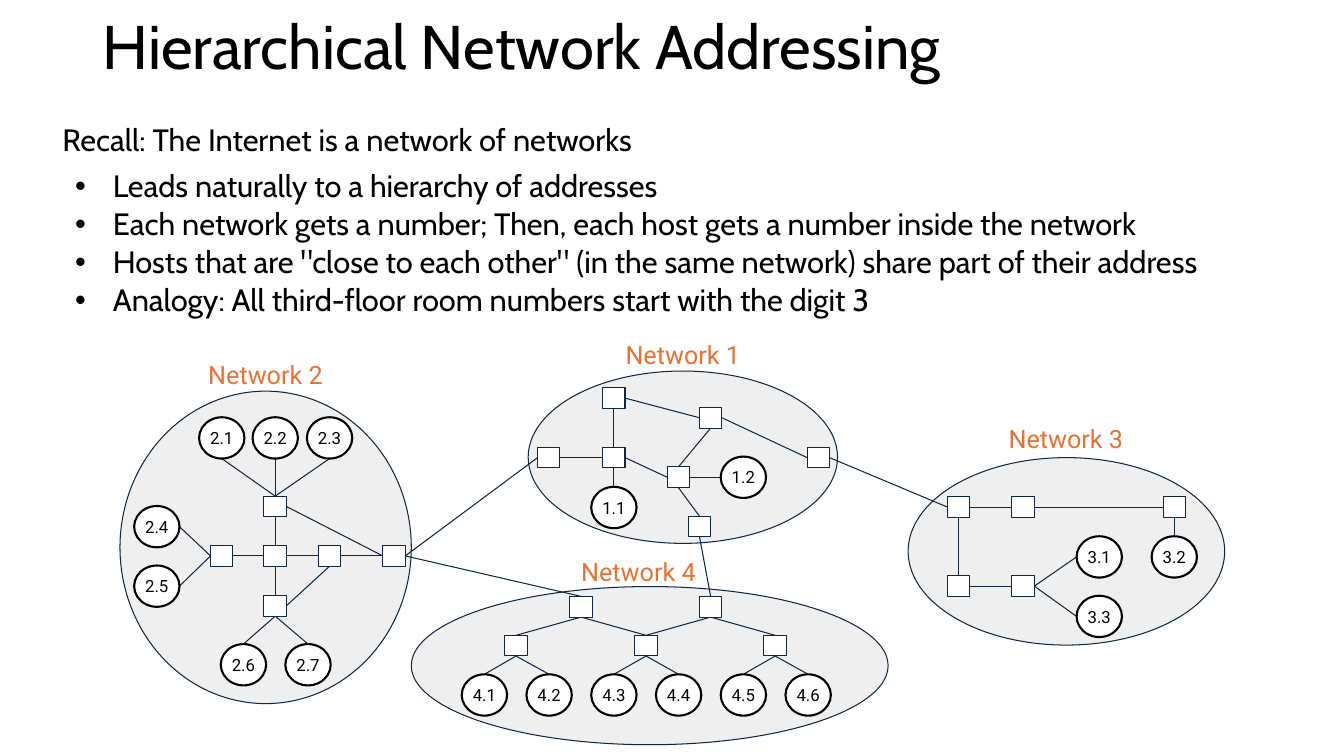
from lxml import etree
from pptx import Presentation
from pptx.dml.color import RGBColor
from pptx.enum.shapes import MSO_CONNECTOR, MSO_SHAPE
from pptx.enum.text import MSO_ANCHOR, MSO_AUTO_SIZE, PP_ALIGN
from pptx.oxml.ns import qn
from pptx.util import Pt

BLACK = RGBColor(0x00, 0x00, 0x00)
WHITE = RGBColor(0xFF, 0xFF, 0xFF)
NAVY = RGBColor(0x0E, 0x28, 0x41)
GRAY = RGBColor(0xEF, 0xEF, 0xEF)
ORANGE = RGBColor(0xE9, 0x71, 0x32)

OVAL, RECTANGLE = MSO_SHAPE.OVAL, MSO_SHAPE.RECTANGLE
STRAIGHT = MSO_CONNECTOR.STRAIGHT
TOP, MIDDLE = MSO_ANCHOR.TOP, MSO_ANCHOR.MIDDLE
LEFT, CENTER = PP_ALIGN.LEFT, PP_ALIGN.CENTER
NO_AUTOFIT = MSO_AUTO_SIZE.NONE

ROUTER_SIZE = (16, 14.8)
HOST_SIZE = (32.4, 29.5)
LABEL_SIZE = (84.2, 20.2)

INTRO = "Recall: The Internet is a network of networks"
POINTS = [
    "Leads naturally to a hierarchy of addresses",
    "Each network gets a number; Then, each host gets a number inside the network",
    'Hosts that are "close to each other" (in the same network) share part of their address',
    "Analogy: All third-floor room numbers start with the digit 3",
]

# Network name: ellipse left, top, width, height, then label left, top
NETWORKS = {
    "Network 4": (293.8, 419, 340.6, 113, 414, 397.4),
    "Network 3": (648.7, 326.9, 226.1, 133.9, 719.3, 302.4),
    "Network 1": (377.3, 265, 221, 123.1, 445.7, 242.6),
    "Network 2": (85.7, 279.4, 208.1, 223.2, 147.6, 257),
}

# Centres of routers, named by network and place
ROUTERS = {
    "2 west": (158.4, 397.1), "2 core": (196.6, 397.1),
    "2 east": (235.4, 397.1), "2 gate": (281.5, 397.1),
    "2 north": (196.6, 361.8), "2 south": (196.6, 432.7),
    "1 gate west": (392, 326.9), "1 core": (438.5, 326.9),
    "1 north": (438.5, 284.4), "1 hub": (484.6, 340.9),
    "1 northeast": (507.6, 298.4), "1 gate east": (584.6, 326.9),
    "1 gate south": (499.7, 376.2),
    "4 gate west": (415.1, 433.4), "4 gate east": (507.6, 433.4),
    "4 left": (368.6, 461.2), "4 middle": (461.5, 461.2),
    "4 right": (553.7, 461.2),
    "3 gate": (684.7, 362.2), "3 north": (730.8, 362.2),
    "3 northeast": (838.8, 362.2),
    "3 southwest": (684.7, 418.7), "3 south": (730.8, 418.7),
}

# Centres of hosts, named by address
HOSTS = {
    "1.1": (438.5, 362.5), "1.2": (531, 340.9),
    "2.1": (158.4, 312.8), "2.2": (196.6, 312.8), "2.3": (235.4, 312.8),
    "2.4": (112, 376.2), "2.5": (112, 418.7),
    "2.6": (173.9, 474.8), "2.7": (220, 474.8),
    "3.1": (785.2, 397.8), "3.2": (838.8, 397.8), "3.3": (785.2, 440.3),
}
HOSTS.update({f"4.{i + 1}": (346 + 46.25 * i, 496.4) for i in range(6)})

# Direction of each side from the centre of a node
SIDES = {"top": (0, -0.5), "bottom": (0, 0.5), "left": (-0.5, 0), "right": (0.5, 0)}

# Links grouped by the sides they leave from and arrive at
LINKS = {
    ("right", "left"): [
        ("2.4", "2 west"), ("2.5", "2 west"), ("2 west", "2 core"),
        ("2 core", "2 east"), ("2 east", "2 gate"), ("2 north", "2 gate"),
        ("2 gate", "1 gate west"), ("1 gate west", "1 core"),
        ("1 core", "1 hub"), ("1 north", "1 northeast"), ("1 hub", "1.2"),
        ("1 northeast", "1 gate east"), ("1 gate east", "3 gate"),
        ("3 gate", "3 north"), ("3 north", "3 northeast"),
        ("3 southwest", "3 south"), ("3 south", "3.1"), ("3 south", "3.3"),
    ],
    ("bottom", "top"): [
        ("2.1", "2 north"), ("2.2", "2 north"), ("2.3", "2 north"),
        ("2 north", "2 core"), ("2 core", "2 south"),
        ("2 south", "2.6"), ("2 south", "2.7"),
        ("1 north", "1 core"), ("1 core", "1.1"), ("1 northeast", "1 hub"),
        ("1 hub", "1 gate south"), ("1 gate south", "4 gate east"),
        ("4 gate west", "4 left"), ("4 gate west", "4 middle"),
        ("4 gate east", "4 middle"), ("4 gate east", "4 right"),
        ("4 left", "4.1"), ("4 left", "4.2"), ("4 middle", "4.3"),
        ("4 middle", "4.4"), ("4 right", "4.5"), ("4 right", "4.6"),
        ("3 gate", "3 southwest"), ("3 northeast", "3.2"),
    ],
    ("right", "bottom"): [("2 south", "2 east")],
    ("right", "top"): [("2 gate", "4 gate west")],
}


def write_text(paragraph, text, *, font, size, color=BLACK, align=LEFT):
    paragraph.alignment = align
    run = paragraph.add_run()
    run.text = text
    run.font.name = font
    run.font.size = Pt(size)
    run.font.color.rgb = color


def place(shape, left, top, width, height):
    shape.left, shape.top = Pt(left), Pt(top)
    shape.width, shape.height = Pt(width), Pt(height)


def clear_insets(frame):
    frame.margin_left = frame.margin_right = Pt(0)
    frame.margin_top = frame.margin_bottom = Pt(0)


def add_outlined(slide, kind, box, *, fill=WHITE, line=NAVY, weight=0.75):
    shape = slide.shapes.add_shape(kind, *map(Pt, box))
    shape.shadow.inherit = False
    shape.fill.solid()
    shape.fill.fore_color.rgb = fill
    shape.line.color.rgb = line
    shape.line.width = Pt(weight)
    return shape


def centered_box(center, size):
    return (center[0] - size[0] / 2, center[1] - size[1] / 2, *size)


def add_host(slide, address, center):
    host = add_outlined(slide, OVAL, centered_box(center, HOST_SIZE), line=BLACK, weight=1.5)
    frame = host.text_frame
    clear_insets(frame)
    frame.word_wrap = False
    frame.vertical_anchor = MIDDLE
    write_text(frame.paragraphs[0], address, font="Roboto", size=12, align=CENTER)


def add_label(slide, text, left, top):
    frame = slide.shapes.add_textbox(*map(Pt, (left, top, *LABEL_SIZE))).text_frame
    clear_insets(frame)
    frame.word_wrap = True
    write_text(frame.paragraphs[0], text, font="Roboto", size=18, color=ORANGE, align=CENTER)


def anchor(name, side):
    (x, y), (width, height) = (
        (HOSTS[name], HOST_SIZE) if name in HOSTS else (ROUTERS[name], ROUTER_SIZE))
    across, down = SIDES[side]
    return Pt(x + across * width), Pt(y + down * height)


def add_link(slide, start, end):
    link = slide.shapes.add_connector(STRAIGHT, *start, *end)
    link.line.color.rgb = NAVY
    link.line.width = Pt(0.75)
    etree.SubElement(link._element.spPr, qn("a:effectLst"))


def set_bullet(paragraph, bullet):
    properties = paragraph._p.get_or_add_pPr()
    properties.set("marL", str(Pt(36 if bullet else 0)))
    properties.set("indent", str(Pt(-27 if bullet else 0)))
    if bullet:
        etree.SubElement(properties, qn("a:buFont"), typeface="Arial")
        etree.SubElement(properties, qn("a:buChar"), char=bullet)
    else:
        etree.SubElement(properties, qn("a:buNone"))


def fill_title(title):
    place(title, 66.2, 0, 828, 70.6)
    frame = title.text_frame
    frame.auto_size = NO_AUTOFIT
    frame.vertical_anchor = MIDDLE
    frame.paragraphs[0].line_spacing = 0.9
    write_text(frame.paragraphs[0], "Hierarchical Network Addressing", font="Cabin", size=44)


def fill_body(body):
    place(body, 37.4, 87.8, 885.6, 152.6)
    frame = body.text_frame
    frame.auto_size = NO_AUTOFIT
    frame.vertical_anchor = TOP
    for index, text in enumerate([INTRO, *POINTS]):
        paragraph = frame.add_paragraph() if index else frame.paragraphs[0]
        set_bullet(paragraph, "•" if index else None)
        paragraph.line_spacing = 0.8
        paragraph.space_before = Pt(6 if index == 1 else 0)
        paragraph.space_after = Pt(6)
        write_text(paragraph, text, font="Cabin", size=22)


def main():
    presentation = Presentation()
    presentation.slide_width, presentation.slide_height = Pt(960), Pt(540)
    slide = presentation.slides.add_slide(presentation.slide_layouts[1])

    # Title and list
    fill_title(slide.shapes.title)
    fill_body(slide.placeholders[1])

    # Networks, then the links, routers and hosts on top of them
    for *box, _, _ in NETWORKS.values():
        add_outlined(slide, OVAL, box, fill=GRAY)
    for (start_side, end_side), pairs in LINKS.items():
        for start, end in pairs:
            add_link(slide, anchor(start, start_side), anchor(end, end_side))
    for center in ROUTERS.values():
        add_outlined(slide, RECTANGLE, centered_box(center, ROUTER_SIZE))
    for address, center in HOSTS.items():
        add_host(slide, address, center)

    # Network names
    for name, (*_, left, top) in NETWORKS.items():
        add_label(slide, name, left, top)

    presentation.save("out.pptx")


if __name__ == "__main__":
    main()
